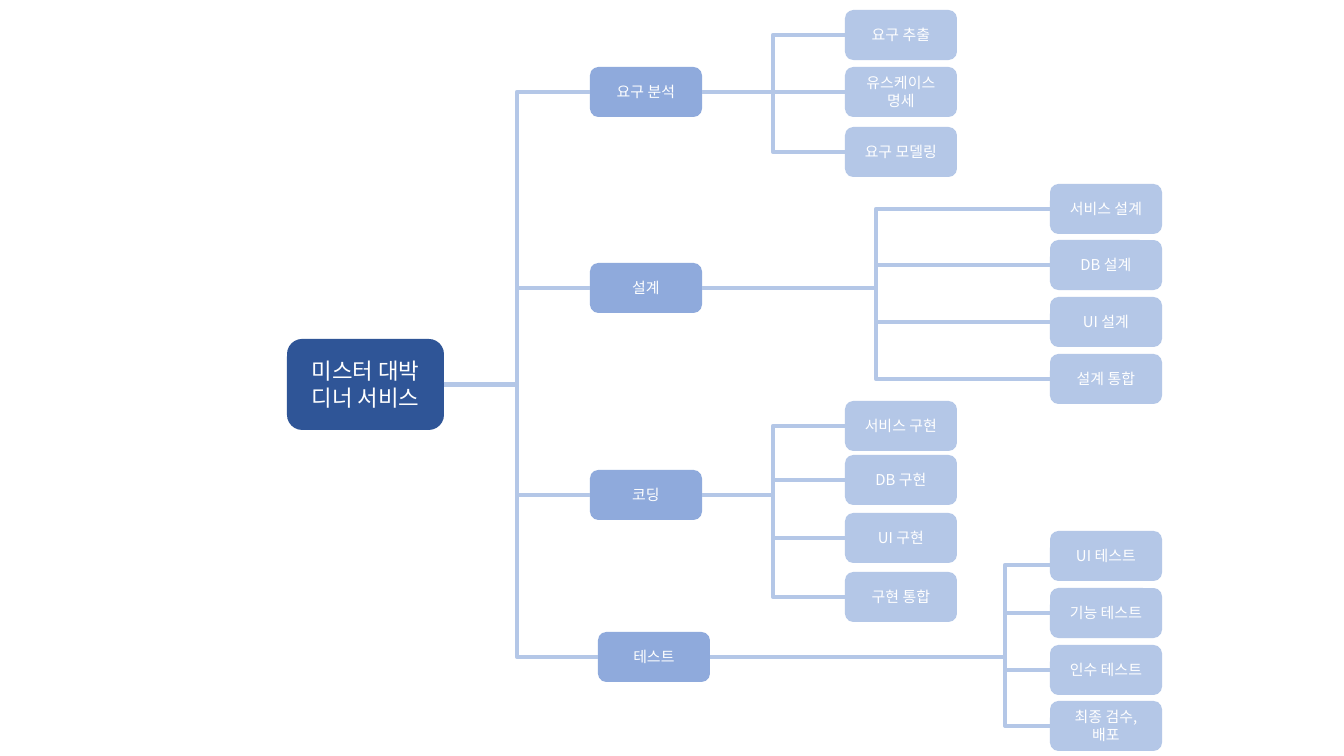
from dataclasses import dataclass
from typing import Optional

from lxml.etree import SubElement
from pptx import Presentation
from pptx.dml.color import RGBColor
from pptx.enum.shapes import MSO_CONNECTOR, MSO_SHAPE
from pptx.enum.text import MSO_ANCHOR, PP_ALIGN
from pptx.oxml.ns import qn
from pptx.shapes.autoshape import Shape
from pptx.shapes.connector import Connector
from pptx.slide import Slide
from pptx.util import Emu, Pt

PIXELS_PER_INCH = 134.4
LEFT_SITE, RIGHT_SITE = 1, 3


@dataclass(frozen=True)
class Theme:
    font: str = "Noto Sans CJK KR"
    text: str = "FFFFFF"
    root: str = "2F5597"
    branch: str = "8FAADC"
    leaf: str = "B4C7E7"
    line: str = "B4C7E7"
    line_width: float = 2.25
    root_size: int = 12
    node_size: int = 8


@dataclass(frozen=True)
class Box:
    left: int
    top: int
    width: int = 112
    height: int = 50

    @property
    def right(self) -> int:
        return self.left + self.width

    @property
    def middle(self) -> int:
        return self.top + self.height // 2


@dataclass(frozen=True)
class Leaf:
    text: str
    top: int
    line_behind: Optional[tuple[int, int, int, int]] = None


@dataclass(frozen=True)
class Branch:
    text: str
    box: Box
    trunk: int
    leaf_left: int
    leaves: tuple[Leaf, ...]


THEME = Theme()
ROOT_BOX = Box(287, 339, 157, 91)
ROOT_LINES = ("미스터 대박", "디너 서비스")
ROOT_TRUNK = 517
NEAR, FAR = 845, 1050

BRANCHES = (
    Branch("요구 분석", Box(590, 67), 773, NEAR, (
        Leaf("요구 추출", 10), Leaf("유스케이스 명세", 67), Leaf("요구 모델링", 127))),
    Branch("설계", Box(590, 263), 876, FAR, (
        Leaf("서비스 설계", 184), Leaf("DB 설계", 240),
        Leaf("UI 설계", 297), Leaf("설계 통합", 354))),
    Branch("코딩", Box(590, 470), 773, NEAR, (
        Leaf("서비스 구현", 401), Leaf("DB 구현", 455),
        Leaf("UI 구현", 513), Leaf("구현 통합", 572))),
    Branch("테스트", Box(598, 632), 1005, FAR, (
        Leaf("UI 테스트", 531, line_behind=(814, 657, 1162, 565)),
        Leaf("기능 테스트", 588), Leaf("인수 테스트", 645), Leaf("최종 검수, 배포", 701))),
)


def px(pixels: float) -> Emu:
    """Turn pixels into EMU."""
    return Emu(round(pixels * 914400 / PIXELS_PER_INCH))


def draw_node(slide: Slide, box: Box, lines: tuple[str, ...], fill: str, size: int) -> Shape:
    """Draw a rounded box with one centred paragraph for each line."""
    shape = slide.shapes.add_shape(
        MSO_SHAPE.ROUNDED_RECTANGLE, px(box.left), px(box.top), px(box.width), px(box.height))
    shape.shadow.inherit = False
    shape.fill.solid()
    shape.fill.fore_color.rgb = RGBColor.from_string(fill)
    shape.line.fill.background()
    frame = shape.text_frame
    frame.word_wrap = True
    frame.vertical_anchor = MSO_ANCHOR.MIDDLE
    frame.text = "\n".join(lines)
    for paragraph in frame.paragraphs:
        paragraph.alignment = PP_ALIGN.CENTER
        paragraph.font.size = Pt(size)
        paragraph.font.color.rgb = RGBColor.from_string(THEME.text)
        paragraph.font.name = THEME.font
        latin = paragraph._p.pPr.find(".//" + qn("a:latin"))
        SubElement(latin.getparent(), qn("a:ea"), typeface=THEME.font)
    return shape


def draw_elbow(slide: Slide, start: tuple[int, int], end: tuple[int, int], trunk: int) -> Connector:
    """Draw a bent line that turns at the trunk's x position."""
    connector = slide.shapes.add_connector(
        MSO_CONNECTOR.ELBOW, px(start[0]), px(start[1]), px(end[0]), px(end[1]))
    connector.line.color.rgb = RGBColor.from_string(THEME.line)
    connector.line.width = Pt(THEME.line_width)
    properties = connector._element.spPr
    SubElement(properties, qn("a:effectLst"))
    guides = properties.find(qn("a:prstGeom")).get_or_add_avLst()
    bend = round((trunk - start[0]) / (end[0] - start[0]) * 100000)
    SubElement(guides, qn("a:gd"), name="adj1", fmla=f"val {bend}")
    return connector


def join(slide: Slide, parent: Shape, parent_box: Box, child: Shape, child_box: Box, trunk: int) -> None:
    """Connect a parent's right side to a child's left side."""
    connector = draw_elbow(slide, (parent_box.right, parent_box.middle),
                           (child_box.left, child_box.middle), trunk)
    connector.begin_connect(parent, RIGHT_SITE)
    connector.end_connect(child, LEFT_SITE)


def draw_branch(slide: Slide, root: Shape, branch: Branch) -> None:
    """Draw a branch, its leaves and the lines that join them."""
    node = draw_node(slide, branch.box, (branch.text,), THEME.branch, THEME.node_size)
    join(slide, root, ROOT_BOX, node, branch.box, ROOT_TRUNK)
    for leaf in branch.leaves:
        box = Box(branch.leaf_left, leaf.top)
        if leaf.line_behind:
            draw_elbow(slide, leaf.line_behind[:2], leaf.line_behind[2:], branch.trunk)
        leaf_node = draw_node(slide, box, (leaf.text,), THEME.leaf, THEME.node_size)
        if not leaf.line_behind:
            join(slide, node, branch.box, leaf_node, box, branch.trunk)


def main() -> None:
    """Build the work breakdown slide."""
    presentation = Presentation()
    presentation.slide_width, presentation.slide_height = px(1344), px(756)
    slide = presentation.slides.add_slide(presentation.slide_layouts.get_by_name("Blank"))
    root = draw_node(slide, ROOT_BOX, ROOT_LINES, THEME.root, THEME.root_size)
    for branch in BRANCHES:
        draw_branch(slide, root, branch)
    presentation.save("out.pptx")


main()
